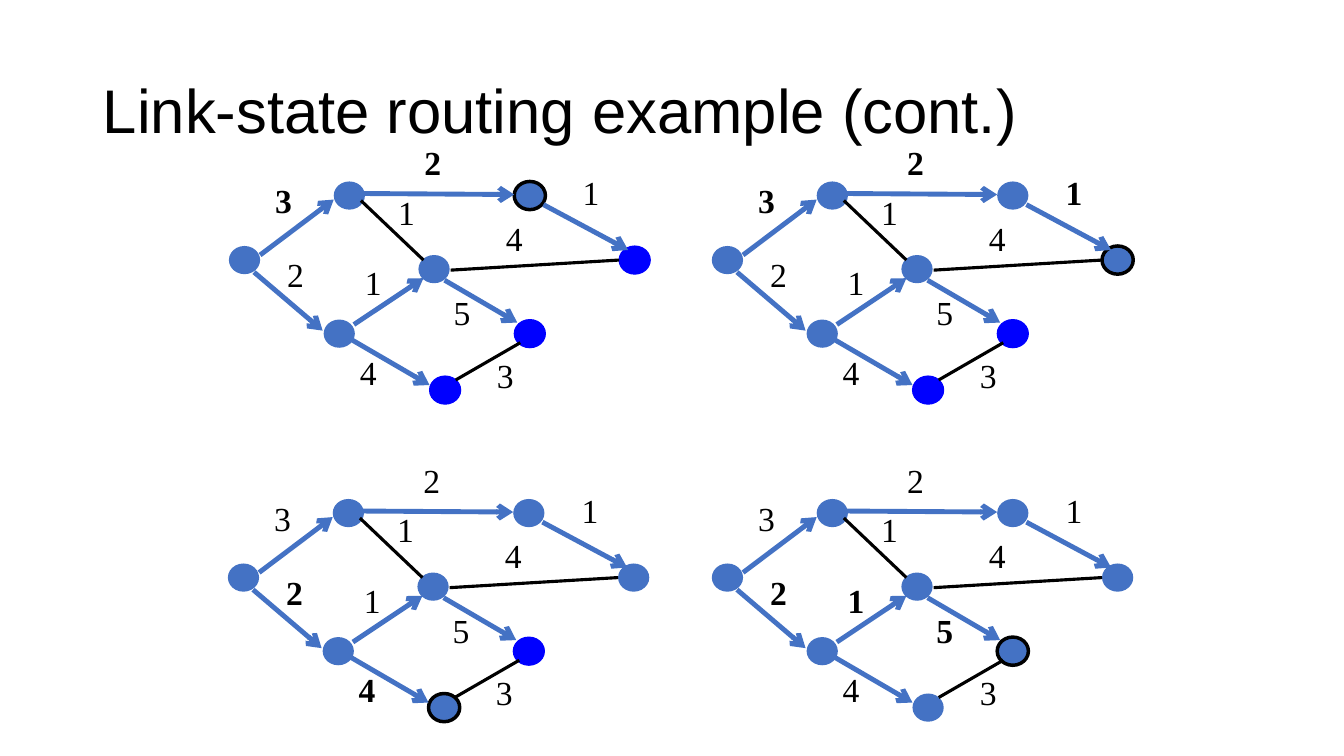
from lxml.etree import SubElement
from pptx import Presentation
from pptx.dml.color import RGBColor
from pptx.enum.shapes import MSO_CONNECTOR, MSO_SHAPE
from pptx.enum.text import MSO_ANCHOR, MSO_AUTO_SIZE, PP_ALIGN
from pptx.oxml.ns import qn
from pptx.util import Inches, Pt

COLORS = {"ink": "000000", "visited": "4472C4", "unvisited": "0000FF"}

NODE_SIZE = (0.31, 0.28)
COST_SIZE = (0.37, 0.5)

NODES = {
    "a": (0, 1.08),
    "b": (0.94, 1.81),
    "c": (1.04, 0.44),
    "d": (1.88, 1.17),
    "e": (2.83, 1.81),
    "f": (2.83, 0.44),
    "g": (1.99, 2.37),
    "h": (3.87, 1.08),
}

LINKS = {
    "ac": ((0.31, 1.17), (1.04, 0.62), "3", (0.36, 0.38)),
    "ab": ((0.25, 1.34), (0.93, 1.92), "2", (0.48, 1.11)),
    "cd": ((1.31, 0.63), (1.93, 1.22), "1", (1.58, 0.49)),
    "bg": ((1.20, 2.00), (1.99, 2.46), "4", (1.20, 2.08)),
    "bd": ((1.24, 1.86), (1.93, 1.40), "1", (1.25, 1.19)),
    "de": ((2.14, 1.42), (2.86, 1.84), "5", (2.13, 1.49)),
    "ge": ((2.25, 2.41), (2.89, 2.04), "3", (2.56, 2.11)),
    "dh": ((2.20, 1.32), (3.87, 1.22), "4", (2.65, 0.75)),
    "cf": ((1.32, 0.56), (2.83, 0.57), "2", (1.84, 0)),
    "fh": ((3.12, 0.67), (3.96, 1.12), "1", (3.41, 0.30)),
}
UNUSED_LINKS = {"cd", "ge", "dh"}

STEPS = [
    {"origin": (2.27, 1.36), "current": "f", "unvisited": "egh", "route": ["ac", "cf"]},
    {"origin": (7.06, 1.36), "current": "h", "unvisited": "eg", "route": ["ac", "cf", "fh"]},
    {"origin": (2.26, 4.51), "current": "g", "unvisited": "e", "route": ["ab", "bg"]},
    {"origin": (7.06, 4.51), "current": "e", "unvisited": "", "route": ["ab", "bd", "de"]},
]


def rgb(name):
    return RGBColor.from_string(COLORS[name])


def apply_format(target, values):
    for attribute, value in values.items():
        setattr(target, attribute, value)


def place(origin, offset):
    return [Inches(start + shift) for start, shift in zip(origin, offset)]


def write(frame, wording, size, font_name, bold=False):
    paragraph = frame.paragraphs[0]
    run = paragraph.add_run()
    run.text = wording
    apply_format(run.font, {"size": Pt(size), "name": font_name, "bold": bold})
    run.font.color.rgb = rgb("ink")
    return paragraph


def set_outline(line, color, width):
    line.color.rgb = rgb(color)
    line.width = Pt(width)


def add_title(slide, box):
    title = slide.shapes.title
    apply_format(title, dict(zip(("left", "top", "width", "height"), map(Inches, box))))
    apply_format(title.text_frame, {
        "word_wrap": True,
        "auto_size": MSO_AUTO_SIZE.NONE,
        "vertical_anchor": MSO_ANCHOR.MIDDLE,
    })
    heading = write(title.text_frame, "Link-state routing example (cont.)", 44, "Arial")
    apply_format(heading, {"alignment": PP_ALIGN.LEFT, "line_spacing": 0.9})


def add_node(graph, origin, name, step):
    unvisited = name in step["unvisited"]
    node = graph.shapes.add_shape(
        MSO_SHAPE.OVAL, *place(origin, NODES[name]), *map(Inches, NODE_SIZE))
    node.shadow.inherit = False
    node.fill.solid()
    node.fill.fore_color.rgb = rgb("unvisited" if unvisited else "visited")
    if name == step["current"]:
        set_outline(node.line, "ink", 2.5)
    elif unvisited:
        set_outline(node.line, "unvisited", 0.75)
    else:
        node.line.fill.background()


def add_link(graph, origin, name):
    start, end = LINKS[name][:2]
    link = graph.shapes.add_connector(
        MSO_CONNECTOR.STRAIGHT, *place(origin, start), *place(origin, end))
    if name in UNUSED_LINKS:
        set_outline(link.line, "ink", 2.25)
    else:
        set_outline(link.line, "visited", 3.5)
        SubElement(link.line._get_or_add_ln(), qn("a:tailEnd"), type="arrow")
    SubElement(link._element.spPr, qn("a:effectLst"))


def add_cost(graph, origin, name, bold):
    cost, offset = LINKS[name][2:]
    label = graph.shapes.add_textbox(*place(origin, offset), *map(Inches, COST_SIZE))
    apply_format(label.text_frame, {
        "word_wrap": False,
        "auto_size": MSO_AUTO_SIZE.SHAPE_TO_FIT_TEXT,
    })
    write(label.text_frame, cost, 24, "Times New Roman", bold)


def add_graph(slide, step):
    graph = slide.shapes.add_group_shape()
    origin = step["origin"]
    for name in NODES:
        add_node(graph, origin, name, step)
    for name in LINKS:
        add_link(graph, origin, name)
    for name in LINKS:
        add_cost(graph, origin, name, name in step["route"])


def main():
    deck = Presentation()
    apply_format(deck, {"slide_width": Inches(13.33), "slide_height": Inches(7.5)})
    slide = deck.slides.add_slide(deck.slide_layouts[5])
    add_title(slide, (0.92, 0.4, 11.5, 1.45))
    for step in STEPS:
        add_graph(slide, step)
    deck.save("out.pptx")


if __name__ == "__main__":
    main()
